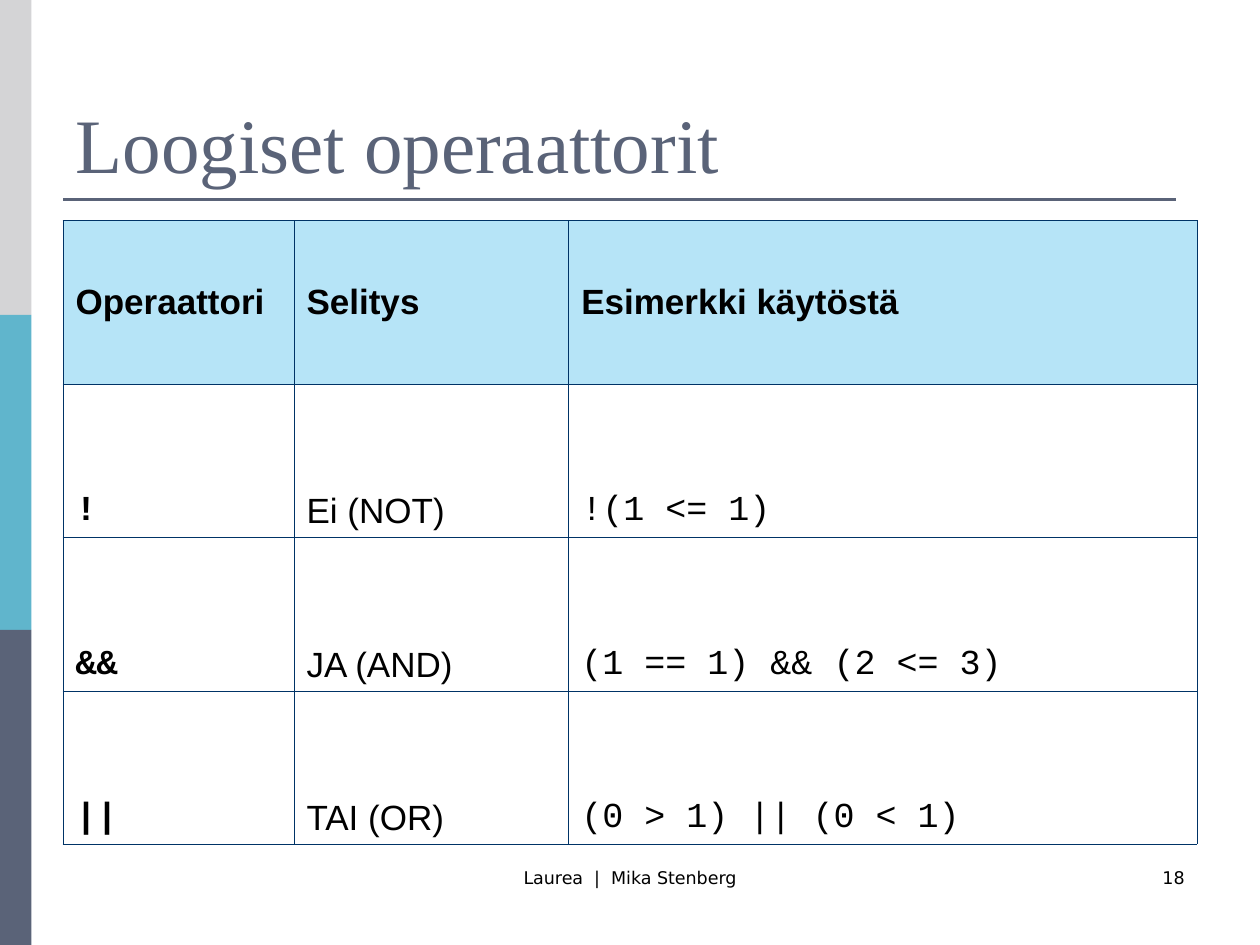
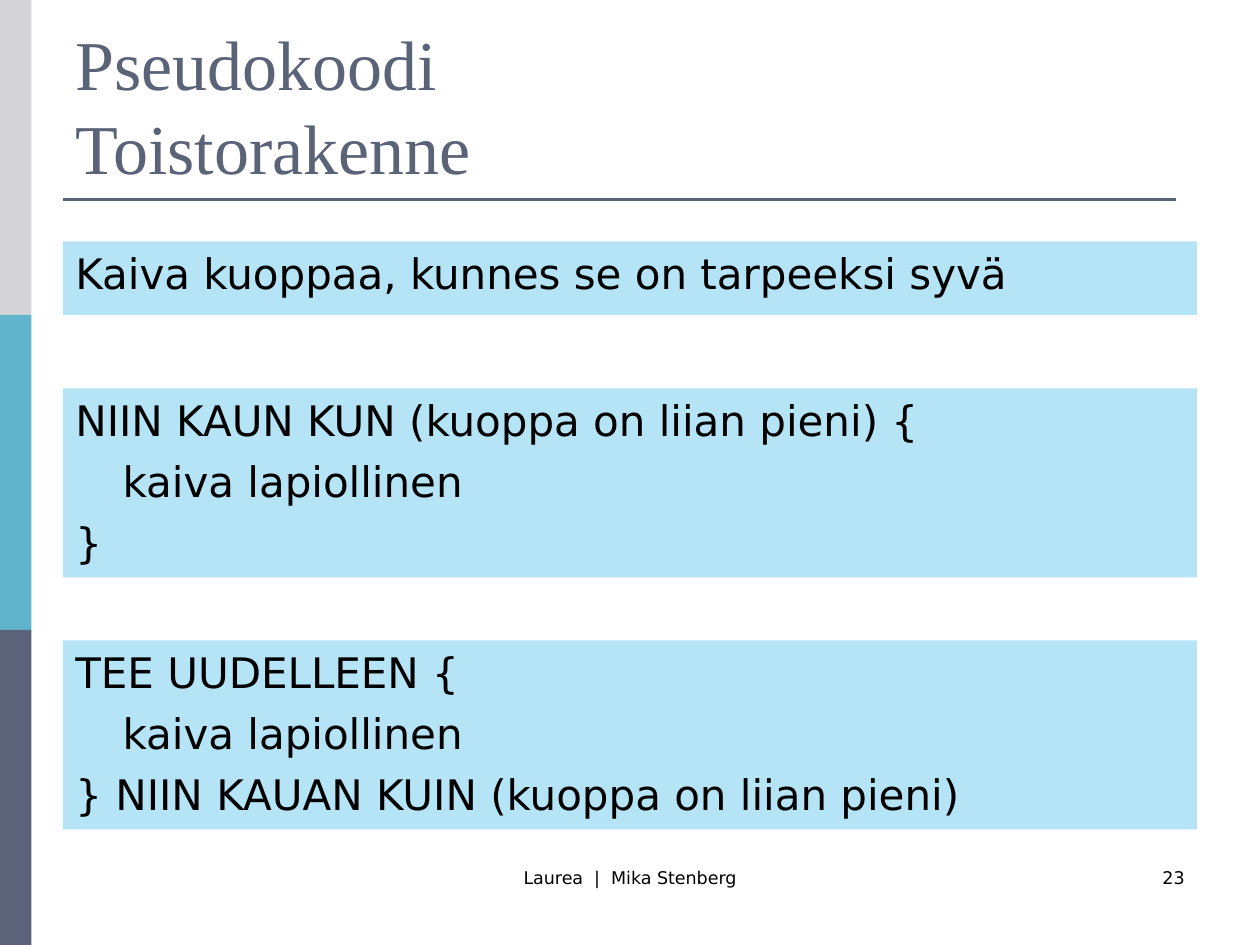
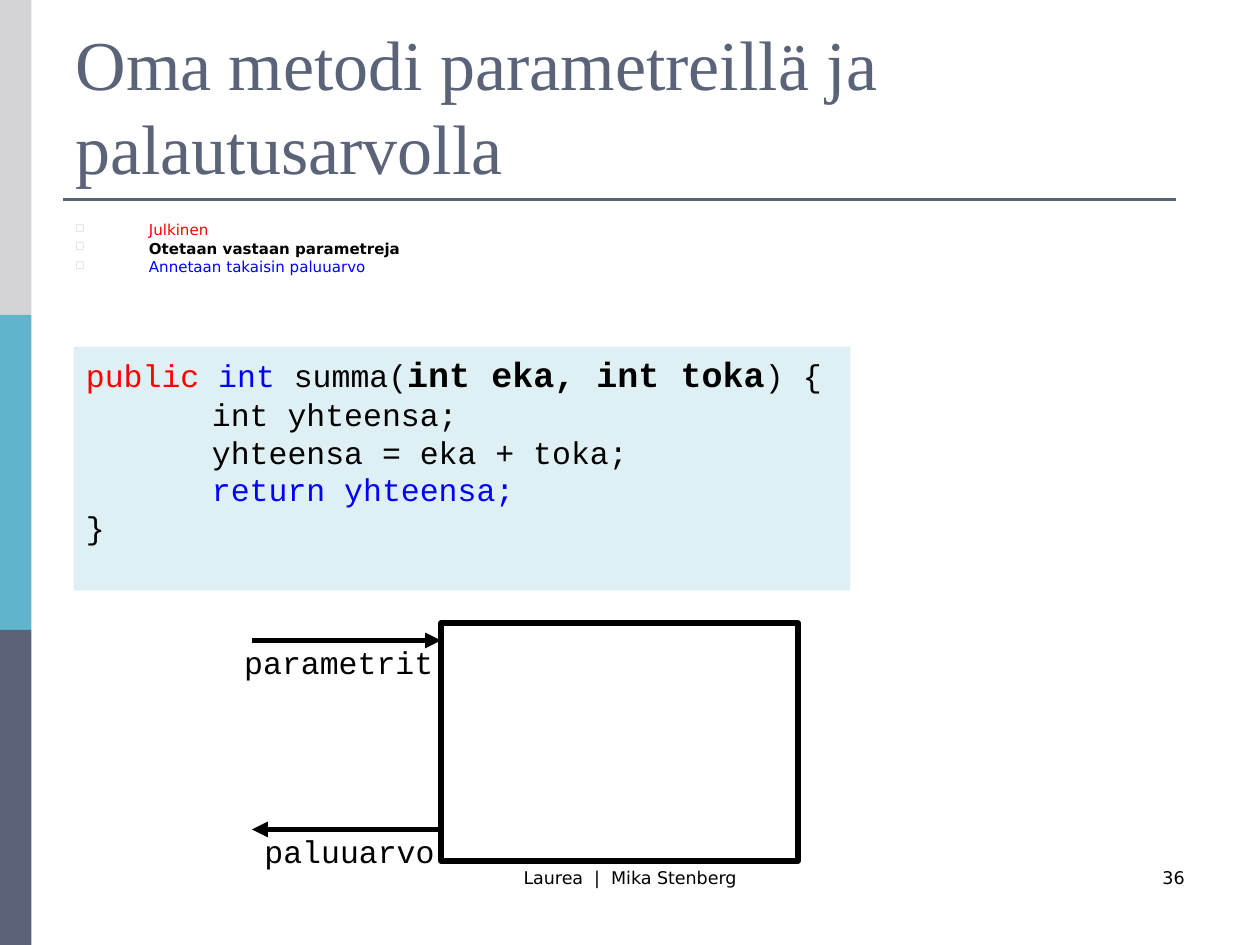
import pptx
import pptx.util
import pptx.dml.color
import pptx.enum.shapes
import pptx.enum.text
import pptx.oxml
import pptx.oxml.ns

Pt = pptx.util.Pt
qn = pptx.oxml.ns.qn
ALIGN = pptx.enum.text.PP_ALIGN
ANCHOR = pptx.enum.text.MSO_ANCHOR
RECT = pptx.enum.shapes.MSO_SHAPE.RECTANGLE

# Shared look
SLATE, TEAL, GREY = "5A6378", "60B5CC", "D4D4D6"
SKY, PALE, NAVY = "B6E4F7", "DFF0F5", "003366"
BLACK, RED, BLUE = "000000", "FF0000", "0000FF"
SANS, SERIF, MONO, ARIAL = "DejaVu Sans", "Times New Roman", "Courier New", "Arial"
FOOTER = "Laurea  |  Mika Stenberg"


def rgb(code):
    return pptx.dml.color.RGBColor.from_string(code)


def style(font, name, size, color=BLACK, bold=False):
    font.name, font.size, font.bold = name, Pt(size), bold
    font.color.rgb = rgb(color)


def add_xml(parent, tag, **attrs):
    node = parent.makeelement(qn(tag), attrs)
    parent.append(node)
    return node


def indent(para, left, first=0):
    props = para._p.get_or_add_pPr()
    props.set("marL", str(Pt(left)))
    props.set("indent", str(Pt(first)))
    return props


def add_rect(slide, box, fill=None, line=None):
    shape = slide.shapes.add_shape(RECT, *map(Pt, box))
    shape.shadow.inherit = False
    if fill:
        shape.fill.solid()
        shape.fill.fore_color.rgb = rgb(fill)
    else:
        shape.fill.background()
    if line:
        shape.line.color.rgb = rgb(line)
        shape.line.width = Pt(3)
    else:
        shape.line.fill.background()
    return shape


def add_line(slide, start, end, color, width, arrow=False):
    line = slide.shapes.add_connector(
        pptx.enum.shapes.MSO_CONNECTOR.STRAIGHT, *map(Pt, start + end))
    line.line.color.rgb = rgb(color)
    line.line.width = Pt(width)
    if arrow:
        add_xml(line.line._get_or_add_ln(), "a:tailEnd", type="triangle")
    add_xml(line._element.spPr, "a:effectLst")


def add_label(slide, box, text, name, size, align=ALIGN.LEFT, wrap=True):
    frame = slide.shapes.add_textbox(*map(Pt, box)).text_frame
    frame.word_wrap = wrap
    para = frame.paragraphs[0]
    para.text, para.alignment = text, align
    style(para.font, name, size)


def fill_lines(frame, count):
    """Gives the frame this many left-aligned paragraphs."""
    frame.word_wrap = True
    frame.vertical_anchor = ANCHOR.TOP
    while len(frame.paragraphs) < count:
        frame.add_paragraph()
    for para in frame.paragraphs:
        para.alignment = ALIGN.LEFT
    return frame.paragraphs


def add_page(deck, title, size, number):
    slide = deck.slides.add_slide(deck.slide_layouts[5])
    # Side bands and title rule
    for row, color in enumerate((GREY, TEAL, SLATE)):
        add_rect(slide, (0, row * 180, 18, 180), color)
    add_line(slide, (36, 114), (672, 114), SLATE, 1.5)
    # Footer
    add_label(slide, (246, 492, 228, 36), FOOTER, SANS, 10, ALIGN.CENTER)
    add_label(slide, (516, 492, 168, 36), number, SANS, 10, ALIGN.RIGHT)
    # Title
    head = slide.shapes.title
    head.left, head.top, head.width, head.height = map(Pt, (36, 21.6, 648, 90))
    frame = head.text_frame
    frame.auto_size = pptx.enum.text.MSO_AUTO_SIZE.NONE
    frame.vertical_anchor = ANCHOR.BOTTOM
    para = frame.paragraphs[0]
    para.text, para.alignment = title, ALIGN.LEFT
    style(para.font, SERIF, size, SLATE)
    return slide


def add_border(cell):
    props = cell._tc.get_or_add_tcPr()
    for spot, side in enumerate(("a:lnL", "a:lnR", "a:lnT", "a:lnB")):
        edge = props.makeelement(qn(side), {"w": str(Pt(0.45))})
        paint = add_xml(edge, "a:solidFill")
        add_xml(paint, "a:srgbClr", val=NAVY)
        props.insert(spot, edge)


def add_grid(slide, box, rows, widths, heights):
    table = slide.shapes.add_table(
        len(rows), len(widths), *map(Pt, box)).table
    table.first_row = table.horz_banding = False
    for col, width in zip(table.columns, widths):
        col.width = Pt(width)
    for row, height in zip(table.rows, heights):
        row.height = Pt(height)
    for r, texts in enumerate(rows):
        for c, text in enumerate(texts):
            cell = table.cell(r, c)
            para = cell.text_frame.paragraphs[0]
            para.text = text
            if r == 0:
                cell.fill.solid()
                cell.fill.fore_color.rgb = rgb(SKY)
            else:
                cell.fill.background()
            cell.vertical_anchor = ANCHOR.BOTTOM if r else ANCHOR.MIDDLE
            name = MONO if r and c != 1 else ARIAL
            style(para.font, name, 20, bold=r == 0 or c == 0)
            add_border(cell)


def add_pseudo(slide, box, lines):
    """Draws a blue panel; each line is (text, indent)."""
    frame = add_rect(slide, box, SKY).text_frame
    paras = fill_lines(frame, len(lines))
    for i, (para, (text, left)) in enumerate(zip(paras, lines)):
        para.text = text
        para.space_before = Pt(6 if i else 0)
        indent(para, left)
        style(para.font, SANS, 24)


def add_bullets(slide, box, items):
    frame = slide.shapes.add_textbox(*map(Pt, box)).text_frame
    paras = fill_lines(frame, len(items))
    for i, (para, (text, color, bold)) in enumerate(zip(paras, items)):
        para.text = text
        para.line_spacing = 0.6
        para.space_before = Pt(4.5 if i else 0)
        props = indent(para, 42, -42)
        tint = add_xml(props, "a:buClr")
        add_xml(tint, "a:srgbClr", val=GREY)
        add_xml(props, "a:buSzPct", val="75000")
        add_xml(props, "a:buChar", char="◻")
        style(para.font, SANS, 8.6, color, bold)


def add_code(slide, box, lines):
    """Draws a code panel; each line is (indent, [(text, size, color, bold)])."""
    frame = add_rect(slide, box, PALE).text_frame
    paras = fill_lines(frame, len(lines))
    for para, (left, parts) in zip(paras, lines):
        indent(para, left)
        for text, *look in parts:
            run = para.add_run()
            run.text = text
            font = run.font if len(parts) > 1 else para.font
            style(font, MONO, *look)


def add_flow(slide, box):
    """Draws a method as a box with an arrow in and an arrow out."""
    left, top, width, height = box
    edge = left + 108
    add_rect(slide, (edge, top, width - 108, height), line=BLACK)
    high, low = top + 10, top + 118
    add_line(slide, (left, high), (edge, high), BLACK, 3, True)
    add_line(slide, (edge, low), (left, low), BLACK, 3, True)
    add_label(slide, (left - 11.5, high - 2.2, 122.4, 29), "parametrit",
              MONO, 18, wrap=False)
    add_label(slide, (left, low - 2.2, 111.6, 29), "paluuarvo",
              MONO, 18, wrap=False)


def main():
    deck = pptx.Presentation()
    deck.slide_width, deck.slide_height = Pt(720), Pt(540)

    # Logical operators
    slide = add_page(deck, "Loogiset operaattorit", 44, "18")
    add_grid(slide, (36, 126, 648, 356.4), [
        ("Operaattori", "Selitys", "Esimerkki käytöstä"),
        ("!", "Ei (NOT)", "!(1 <= 1)"),
        ("&&", "JA (AND)", "(1 == 1) && (2 <= 3)"),
        ("||", "TAI (OR)", "(0 > 1) || (0 < 1)"),
    ], (132, 157, 359), (93.6, 87.6, 87.6, 87.6))

    # Loops in pseudocode
    slide = add_page(deck, "Pseudokoodi\vToistorakenne", 40, "23")
    dig = ("kaiva lapiollinen", 27)
    add_pseudo(slide, (36, 138, 648, 42),
               [("Kaiva kuoppaa, kunnes se on tarpeeksi syvä", 0)])
    add_pseudo(slide, (36, 222, 648, 108),
               [("NIIN KAUN KUN (kuoppa on liian pieni) {", 0), dig, ("}", 0)])
    add_pseudo(slide, (36, 366, 648, 108),
               [("TEE UUDELLEEN {", 0), dig,
                ("} NIIN KAUAN KUIN (kuoppa on liian pieni)", 0)])

    # Method with parameters and a return value
    slide = add_page(
        deck, "Oma metodi parametreillä ja palautusarvolla", 40, "36")
    add_bullets(slide, (36, 126, 630, 36), [
        ("Julkinen", RED, False),
        ("Otetaan vastaan parametreja", BLACK, True),
        ("Annetaan takaisin paluuarvo", BLUE, False),
    ])
    add_code(slide, (42, 198, 444, 139.5), [
        (0, [("public ", 18, RED), ("int", 18, BLUE), (" summa(", 18),
             ("int eka, int toka", 20, BLACK, True), (") {", 18)]),
        (72, [("int yhteensa;", 18)]),
        (72, [("yhteensa = eka + toka;", 18)]),
        (72, [("return yhteensa;", 18, BLUE)]),
        (0, [("}", 18)]),
    ])
    add_flow(slide, (144, 356, 312, 136))

    deck.save("out.pptx")


if __name__ == "__main__":
    main()
